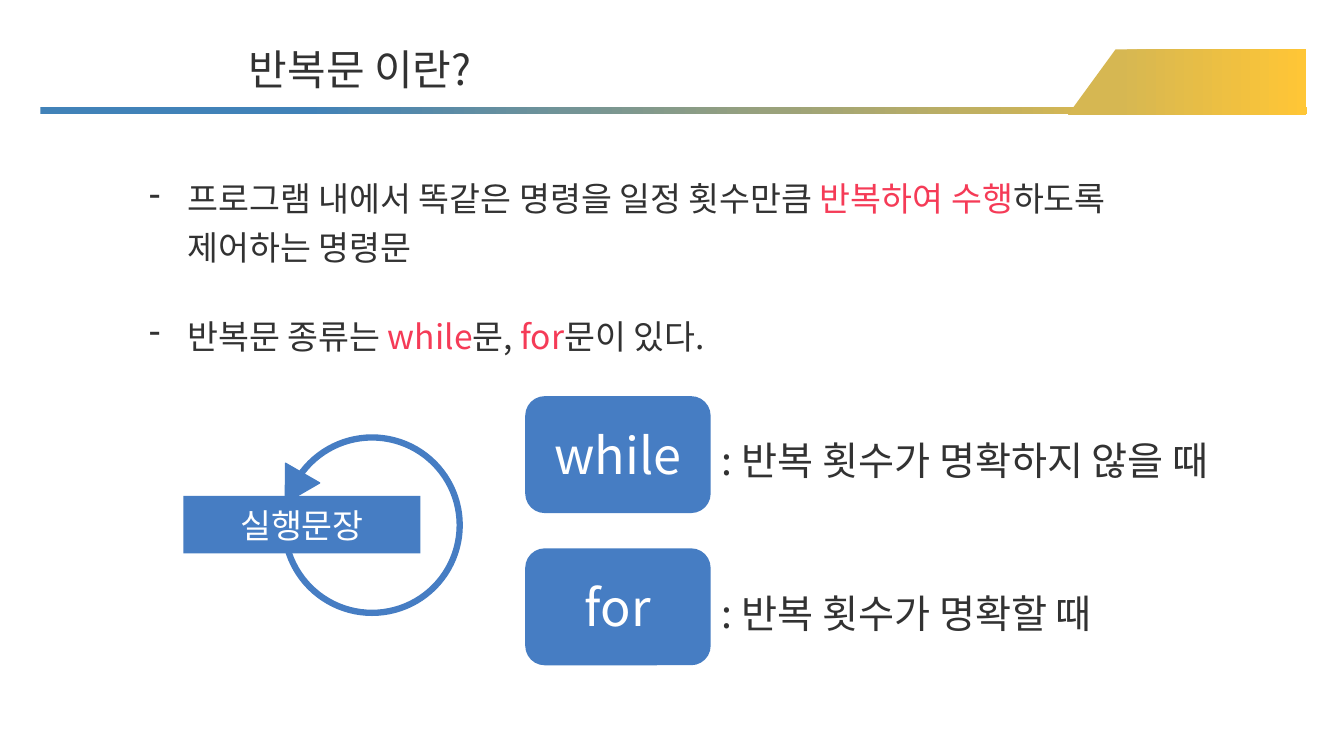
from dataclasses import dataclass

import pptx
import pptx.dml.color
import pptx.enum.shapes
import pptx.enum.text
import pptx.oxml.ns
import pptx.util
from lxml import etree

SHAPE = pptx.enum.shapes.MSO_SHAPE
ALIGN = pptx.enum.text.PP_ALIGN
FIT = pptx.enum.text.MSO_AUTO_SIZE.SHAPE_TO_FIT_TEXT
rgb = pptx.dml.color.RGBColor.from_string
qn = pptx.oxml.ns.qn


@dataclass
class Theme:
    font: str = "Noto Sans CJK KR"
    ink: str = "323232"
    accent: str = "F53B57"
    blue: str = "467DC3"
    white: str = "FFFFFF"
    rail: str = "4182B8"
    tab: str = "D6B752"
    gold: str = "FFC636"
    title: int = 30
    body: int = 24
    keyword: int = 36
    meaning: int = 28


theme = Theme()
prs = pptx.Presentation()
prs.slide_width = pptx.util.Inches(13.33)
prs.slide_height = pptx.util.Inches(7.5)
s = prs.slides.add_slide(prs.slide_layouts[6])


def add_shape(parent, kind, box, fill=None):
    """Add a shape, or a text box if kind is None; box is in percent of the slide."""
    sides = (prs.slide_width, prs.slide_height) * 2
    place = [round(side * share / 100) for side, share in zip(sides, box)]
    if kind is None:
        sp = parent.shapes.add_textbox(*place)
        sp.text_frame.word_wrap = True
        sp.text_frame.auto_size = FIT
        return sp
    sp = parent.shapes.add_shape(kind, *place)
    sp.shadow.inherit = False
    sp.line.fill.background()
    if fill:
        sp.fill.solid()
        sp.fill.fore_color.rgb = rgb(fill)
    else:
        sp.fill.background()
    return sp


def style(p, size, color, align=ALIGN.LEFT):
    p.alignment = align
    p.font.size = pptx.util.Pt(size)
    p.font.color.rgb = rgb(color)
    p.font.name = theme.font
    defaults = p._p.pPr.find(qn("a:defRPr"))
    etree.SubElement(defaults, qn("a:ea"), typeface=theme.font)


# Header band
rail = add_shape(s, SHAPE.RECTANGLE, (3, 14.13, 94.22, 0.93))
tab = add_shape(s, SHAPE.FLOWCHART_MANUAL_INPUT, (85.9, -4.93, 4.88, 31.6))
tab.rotation = 270
tab._element.spPr.xfrm.set("flipH", "1")
for sp, start, angle in ((rail, theme.rail, 0), (tab, theme.tab, 270)):
    sp.fill.gradient()
    sp.fill.gradient_angle = angle
    stops = sp.fill.gradient_stops
    for stop, color, position in zip(stops, (start, theme.gold), (0.21, 1)):
        stop.color.rgb = rgb(color)
        stop.position = position

title = add_shape(s, None, (17.78, 5.07, 18.38, 8.13))
title.text_frame.word_wrap = False
p = title.text_frame.paragraphs[0]
p.text = "반복문 이란?"
style(p, theme.title, theme.ink)

# Definition: odd runs are accented
points = [
    ["프로그램 내에서 똑같은 명령을 일정 횟수만큼 ", "반복하여 수행", "하도록 제어하는 명령문"],
    ["반복문 종류는 ", "while", "문, ", "for", "문이 있다."],
]
tf = add_shape(s, None, (10.35, 21.87, 73.67, 25.73)).text_frame
for i, runs in enumerate(points):
    p = tf.add_paragraph() if i else tf.paragraphs[0]
    p.line_spacing = 1.2
    p.space_before = pptx.util.Pt(29 * i)
    style(p, theme.body, theme.ink)
    indent = pptx.util.Inches(0.38)
    p._p.pPr.set("marL", str(indent))
    p._p.pPr.set("indent", str(-indent))
    bullet = etree.Element(qn("a:buChar"), char="-")
    p._p.pPr.find(qn("a:defRPr")).addprevious(bullet)
    for j, text in enumerate(runs):
        r = p.add_run()
        r.text = text
        if j % 2:
            r.font.color.rgb = rgb(theme.accent)

# Loop diagram
loop = s.shapes.add_group_shape()
ring = add_shape(loop, SHAPE.OVAL, (21.16, 57.87, 13.05, 23.2))
statement = add_shape(loop, SHAPE.RECTANGLE, (13.65, 65.6, 17.63, 7.6), theme.blue)
arrow = add_shape(loop, SHAPE.ISOSCELES_TRIANGLE, (20.41, 62.27, 2.93, 4.53), theme.blue)
arrow.rotation = 210
for sp, width in ((ring, 4.5), (arrow, 1)):
    sp.line.color.rgb = rgb(theme.blue)
    sp.line.width = pptx.util.Pt(width)
p = statement.text_frame.paragraphs[0]
p.text = "실행문장"
style(p, theme.body, theme.white, ALIGN.CENTER)

# Keywords and when to use them
kinds = s.shapes.add_group_shape()
meanings = {"while": ": 반복 횟수가 명확하지 않을 때", "for": ": 반복 횟수가 명확할 때"}
for row, (keyword, meaning) in enumerate(meanings.items()):
    drop = 20.13 * row
    sp = add_shape(kinds, SHAPE.ROUNDED_RECTANGLE, (39.08, 52.4 + drop, 13.8, 15.47), theme.blue)
    p = sp.text_frame.paragraphs[0]
    p.text = keyword
    style(p, theme.keyword, theme.white, ALIGN.CENTER)
    sp = add_shape(kinds, None, (52.96, 55.87 + drop, 42.61, 8.4))
    p = sp.text_frame.paragraphs[0]
    p.text = meaning
    p.line_spacing = 1.2
    style(p, theme.meaning, theme.ink)

prs.save("out.pptx")
